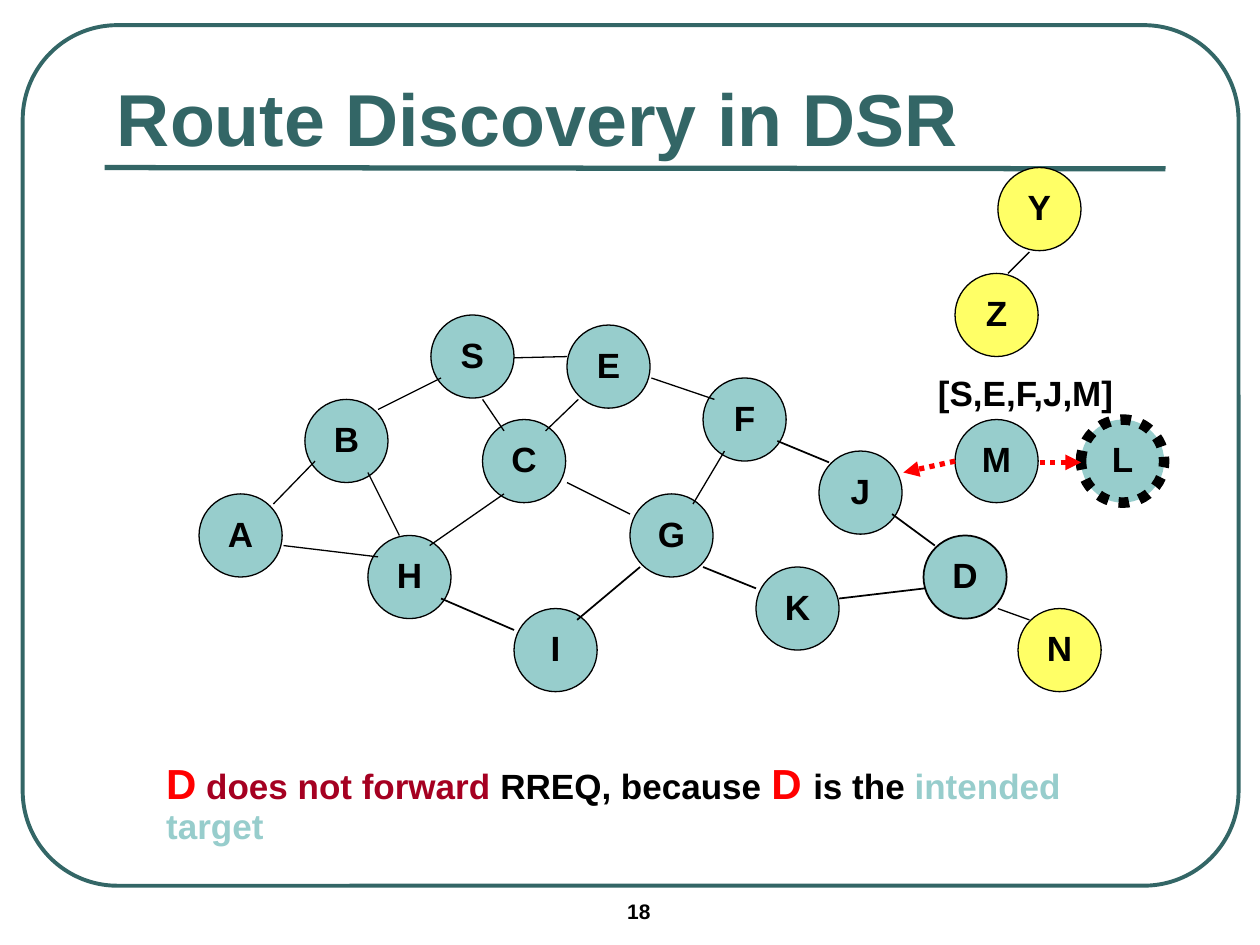
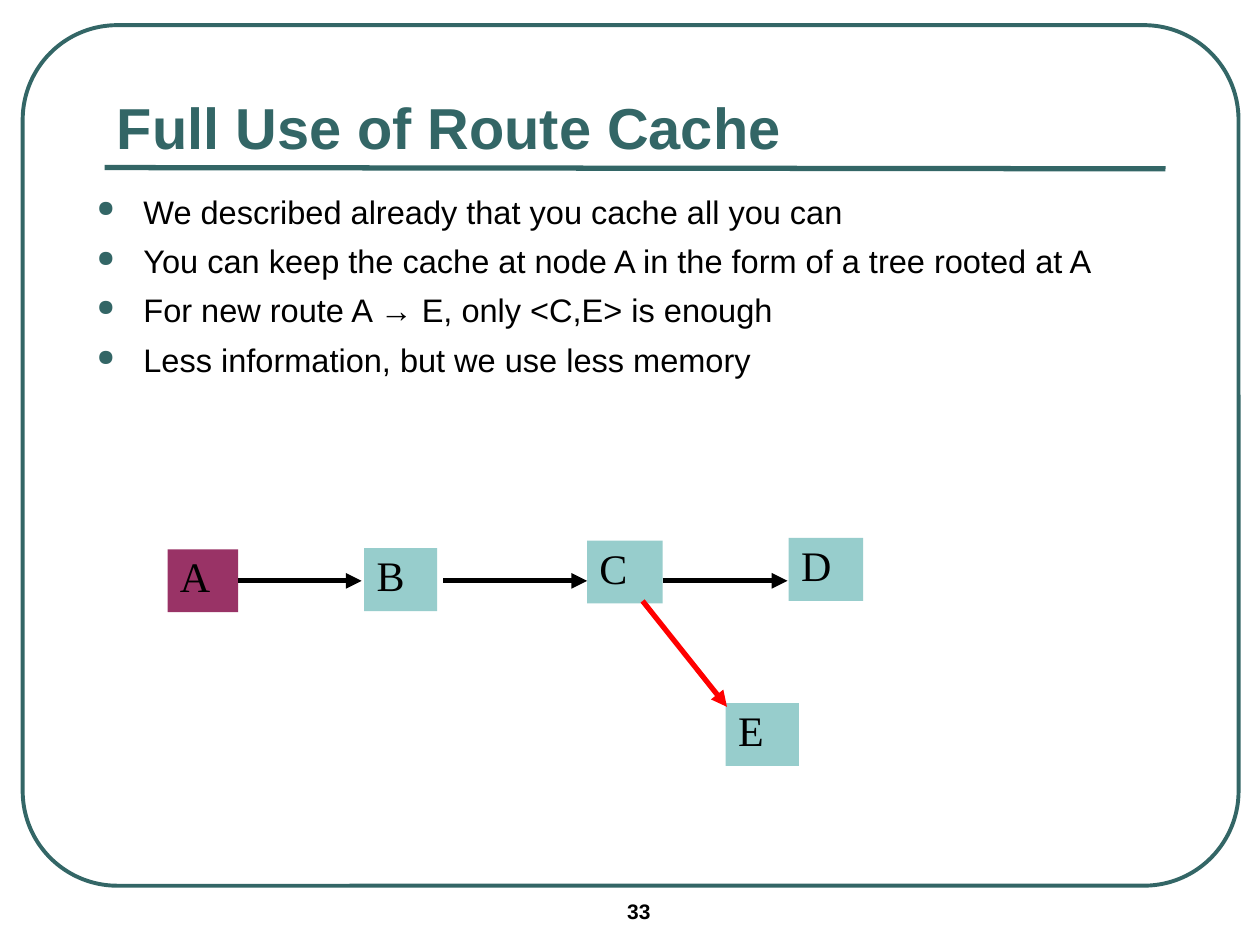
"""Builds two slides on DSR routing: route discovery and the route cache."""
import pptx
import pptx.dml.color
import pptx.enum.shapes
import pptx.enum.text
import pptx.oxml.ns
import pptx.util
from lxml import etree

Inches, Pt, qn = pptx.util.Inches, pptx.util.Pt, pptx.oxml.ns.qn
SHAPE = pptx.enum.shapes.MSO_SHAPE
ALIGN, ANCHOR = pptx.enum.text.PP_ALIGN, pptx.enum.text.MSO_ANCHOR

COLORS = {
    "teal": "336666", "aqua": "97CDCC", "yellow": "FFFF66", "plum": "993366",
    "red": "FF0000", "crimson": "A50021", "black": "000000",
}
NODE_SIZE, BOX_HEIGHT, LINE_SPACING = 0.66, 0.5, 0.93

DISCOVERY = {"title": "Route Discovery in DSR", "title_size": 42, "number": "18"}
NODES = [
    ("B", 2.42, 3.17, "aqua"), ("A", 1.58, 3.92, "aqua"), ("S", 3.42, 2.5, "aqua"),
    ("E", 4.5, 2.58, "aqua"), ("F", 5.58, 3, "aqua"), ("H", 2.92, 4.25, "aqua"),
    ("J", 6.5, 3.58, "aqua"), ("D", 7.33, 4.25, "aqua"), ("C", 3.83, 3.33, "aqua"),
    ("G", 5, 3.92, "aqua"), ("I", 4.08, 4.83, "aqua"), ("K", 6, 4.5, "aqua"),
    ("Z", 7.58, 2.17, "yellow"), ("Y", 7.92, 1.33, "yellow"), ("M", 7.58, 3.33, "aqua"),
    ("N", 8.08, 4.83, "yellow"), ("L", 8.58, 3.33, "aqua"),
]
NODE_OUTLINES = {"D": (1, False), "L": (6, True)}
THIN_LINKS = [
    (2.17, 4, 2.5, 3.66), (3, 3.25, 3.5, 3), (2.25, 4.33, 3, 4.42),
    (2.92, 3.75, 3.17, 4.25), (4, 3.92, 3.41, 4.33), (4.59, 3.17, 4.33, 3.42),
    (5.17, 3, 5.67, 3.17), (5.75, 3.58, 5.5, 4), (4.5, 3.83, 5, 4.08),
    (4.5, 2.83, 4.08, 2.84), (3.83, 3.17, 4, 3.42), (8.17, 2, 8, 2.17),
    (7.92, 4.83, 8.17, 4.92),
]
THICK_LINKS = [
    (5.08, 4.5, 4.58, 4.92), (3.5, 4.75, 4.08, 5), (6.17, 3.5, 6.58, 3.67),
    (5.58, 4.5, 6, 4.67), (7.08, 4.08, 7.42, 4.33), (7.34, 4.67, 6.66, 4.75),
]
REQUESTS = [(7.58, 3.66, 7.17, 3.75), (8.25, 3.67, 8.58, 3.67)]
REQUEST_PATH = "[S,E,F,J,M]"
CONCLUSION = [
    ("D", 24, "red"), (" ", 20, "black"), ("does not forward", 20, "crimson"),
    (" RREQ, because ", 20, "black"), ("D ", 24, "red"), ("is the ", 20, "black"),
    ("intended target", 20, "aqua"),
]

CACHE = {"title": "Full Use of Route Cache", "title_size": 33, "number": "33"}
CACHE_POINTS = [
    "We described already that you cache all you can",
    "You can keep the cache at node A in the form of a tree rooted at A",
    "For new route A → E, only <C,E> is enough",
    "Less information, but we use less memory",
]
CACHE_BOXES = [
    ("A", 1.33, 4.36, 0.56, "plum"), ("B", 2.89, 4.35, 0.58, "aqua"),
    ("C", 4.66, 4.29, 0.6, "aqua"), ("D", 6.26, 4.27, 0.59, "aqua"),
    ("E", 5.76, 5.58, 0.58, "aqua"),
]
CACHE_ARROWS = [
    (1.89, 4.61, 2.87, 4.61, "black"), (3.52, 4.61, 4.66, 4.61, "black"),
    (5.26, 4.61, 6.25, 4.61, "black"), (5.1, 4.77, 5.77, 5.61, "red"),
]


def rgb(name):
    return pptx.dml.color.RGBColor.from_string(COLORS[name])


def add_xml(parent, tag, **attributes):
    return etree.SubElement(parent, qn(tag), attributes)


def style_line(shape, color, width, dotted=False, arrow=False):
    shape.line.color.rgb = rgb(color)
    shape.line.width = Pt(width)
    outline = shape.element.spPr.find(qn("a:ln"))
    if dotted:
        add_xml(outline, "a:prstDash", val="sysDot")
    if arrow:
        add_xml(outline, "a:tailEnd", type="triangle")


def add_line(slide, ends, color, width, **style):
    line = slide.shapes.add_connector(
        pptx.enum.shapes.MSO_CONNECTOR.STRAIGHT, *map(Inches, ends))
    style_line(line, color, width, **style)
    add_xml(line.element.spPr, "a:effectLst")


def add_preset(slide, kind, place, fill=None):
    shape = slide.shapes.add_shape(kind, *map(Inches, place))
    shape.shadow.inherit = False
    if fill:
        shape.fill.solid()
        shape.fill.fore_color.rgb = rgb(fill)
    else:
        shape.fill.background()
    shape.line.fill.background()
    return shape


def style_font(font, size, color="black", bold=True, name="Arial"):
    font.name, font.size, font.bold = name, Pt(size), bold
    font.color.rgb = rgb(color)


def write(shape, runs, align=ALIGN.LEFT, anchor=ANCHOR.TOP, wrap=True, **style):
    frame = shape.text_frame
    frame.word_wrap, frame.vertical_anchor = wrap, anchor
    paragraph = frame.paragraphs[0]
    paragraph.alignment, paragraph.line_spacing = align, LINE_SPACING
    for text, size, color in runs:
        run = paragraph.add_run()
        run.text = text
        style_font(run.font, size, color, **style)


def add_text(slide, place, runs, **style):
    write(slide.shapes.add_textbox(*map(Inches, place)), runs, **style)


def add_framed_slide(deck, content):
    slide = deck.slides.add_slide(deck.slide_layouts[6])
    add_text(slide, (4.88, 7.1, 1.17, 0.29), [(content["number"], 12, "black")])
    frame = add_preset(slide, SHAPE.ROUNDED_RECTANGLE, (0.18, 0.2, 9.65, 6.83))
    frame.adjustments[0] = 0.11
    style_line(frame, "teal", 2.25)
    add_line(slide, (0.83, 1.33, 9.25, 1.34), "teal", 3)
    add_text(slide, (0.83, 0.58, 8.42, 0.76),
             [(content["title"], content["title_size"], "teal")], anchor=ANCHOR.BOTTOM)
    return slide


def add_node(slide, label, left, top, fill):
    node = add_preset(slide, SHAPE.OVAL, (left, top, NODE_SIZE, NODE_SIZE), fill)
    width, dotted = NODE_OUTLINES.get(label, (0.75, False))
    style_line(node, "black", width, dotted=dotted)
    write(node, [(label, 20, "black")], align=ALIGN.CENTER, anchor=ANCHOR.MIDDLE)


def add_bullets(slide, place, points):
    frame = slide.shapes.add_textbox(*map(Inches, place)).text_frame
    frame.word_wrap = True
    frame.text = "\n".join(points)
    for index, paragraph in enumerate(frame.paragraphs):
        properties = paragraph._p.get_or_add_pPr()
        properties.set("marL", str(Inches(0.37)))
        properties.set("indent", str(-Inches(0.37)))
        add_xml(add_xml(properties, "a:buClr"), "a:srgbClr", val=COLORS["teal"])
        add_xml(properties, "a:buSzPct", val="70000")
        add_xml(properties, "a:buChar", char="●")
        paragraph.line_spacing = 1.0 if index else 0.73
        if index:
            paragraph.space_before = Pt(6)
        style_font(paragraph.runs[0].font, 18.6, bold=False)


def build_discovery(deck):
    slide = add_framed_slide(deck, DISCOVERY)
    for node in NODES:
        add_node(slide, *node)
    for links, width in ((THIN_LINKS, 0.75), (THICK_LINKS, 1)):
        for ends in links:
            add_line(slide, ends, "black", width)
    for ends in REQUESTS:
        add_line(slide, ends, "red", 3, dotted=True, arrow=True)
    add_text(slide, (7.33, 2.93, 1.62, 0.41), [(REQUEST_PATH, 20, "black")],
             align=ALIGN.CENTER, anchor=ANCHOR.MIDDLE, wrap=False)
    add_text(slide, (1.22, 5.99, 7.61, 0.79), CONCLUSION, anchor=ANCHOR.MIDDLE)


def build_cache(deck):
    slide = add_framed_slide(deck, CACHE)
    add_bullets(slide, (0.67, 1.55, 8.5, 1.86), CACHE_POINTS)
    for label, left, top, width, fill in CACHE_BOXES:
        box = add_preset(slide, SHAPE.RECTANGLE, (left, top, width, BOX_HEIGHT), fill)
        write(box, [(label, 24, "black")], bold=False, name="Times New Roman")
    for *ends, color in CACHE_ARROWS:
        add_line(slide, ends, color, 3, arrow=True)


def main():
    deck = pptx.Presentation()
    deck.slide_width, deck.slide_height = Inches(10), Inches(7.5)
    build_discovery(deck)
    build_cache(deck)
    deck.save("out.pptx")


if __name__ == "__main__":
    main()
